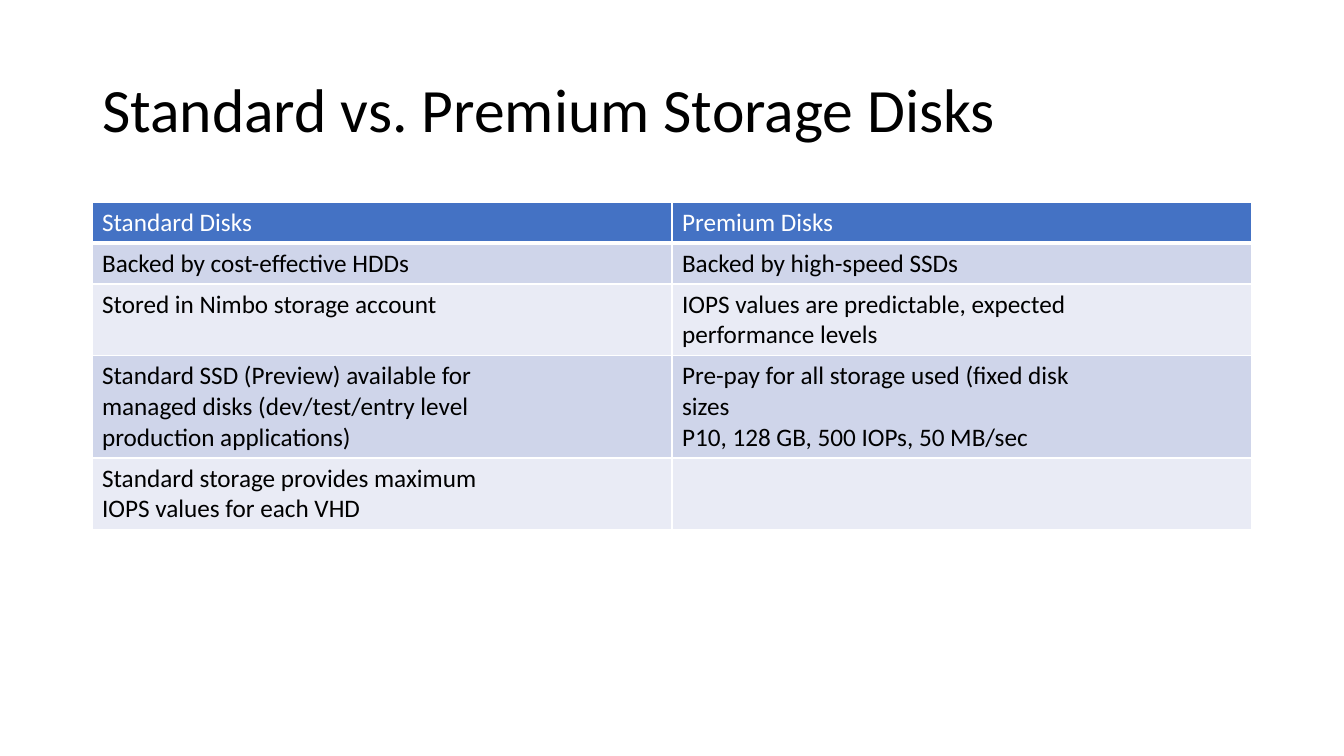
from dataclasses import dataclass

from lxml import etree
from pptx import Presentation
from pptx import util as u
from pptx.dml.color import RGBColor
from pptx.enum import text
from pptx.oxml.ns import qn


@dataclass(frozen=True)
class Theme:
    font: str = "Calibri"
    title_size: int = 44
    table_size: int = 18
    dark: str = "000000"
    light: str = "FFFFFF"
    header: str = "4472C4"
    bands: tuple = ("CFD5EA", "E9EBF5")
    rule: float = 1
    header_rule: float = 3


THEME = Theme()
PX_PER_INCH = 100.8

# Each cell is a tuple of lines, one paragraph per line
HEADINGS = (("Standard Disks",), ("Premium Disks",))
COMPARISON = (
    (("Backed by cost-effective HDDs",), ("Backed by high-speed SSDs",)),
    (("Stored in Nimbo storage account",),
     ("IOPS values are predictable, expected", "performance levels")),
    (("Standard SSD (Preview) available for",
      "managed disks (dev/test/entry level",
      "production applications)"),
     ("Pre-pay for all storage used (fixed disk",
      "sizes",
      "P10, 128 GB, 500 IOPs, 50 MB/sec")),
    (("Standard storage provides maximum", "IOPS values for each VHD"), ("",)),
)


def px(length):
    return u.Emu(round(length * u.Inches(1) / PX_PER_INCH))


def write(frame, lines, *, size, color, spacing=1.0):
    """Fill a text frame with one left-aligned paragraph per line."""
    for index, line in enumerate(lines):
        para = frame.paragraphs[0] if index == 0 else frame.add_paragraph()
        para.alignment = text.PP_ALIGN.LEFT
        para.line_spacing = spacing
        para.font.size = u.Pt(size)
        if line:
            span = para.add_run()
            span.text = line
            span.font.name = THEME.font
            span.font.size = u.Pt(size)
            span.font.color.rgb = RGBColor.from_string(color)


def set_borders(cell, bottom):
    """Draw the four cell edges; edges come before the fill in the XML."""
    props = cell._tc.get_or_add_tcPr()
    widths = {"lnL": THEME.rule, "lnR": THEME.rule, "lnT": THEME.rule, "lnB": bottom}
    for position, (edge, width) in enumerate(widths.items()):
        line = etree.Element(qn(f"a:{edge}"), w=str(u.Pt(width)))
        fill = etree.SubElement(line, qn("a:solidFill"))
        etree.SubElement(fill, qn("a:srgbClr"), val=THEME.light)
        props.insert(position, line)


def add_title(page, words, left, top, width, height):
    title = page.shapes.title
    title.left, title.top = px(left), px(top)
    title.width, title.height = px(width), px(height)
    frame = title.text_frame
    frame.word_wrap = True
    frame.auto_size = text.MSO_AUTO_SIZE.NONE
    frame.vertical_anchor = text.MSO_ANCHOR.MIDDLE
    write(frame, (words,), size=THEME.title_size, color=THEME.dark, spacing=0.9)


def add_comparison(page, headings, body, left, top, width):
    rows = (headings, *body)
    # Row height follows the tallest cell: padding plus its lines
    heights = [11 + 30 * max(map(len, row)) for row in rows]
    table = page.shapes.add_table(len(rows), len(headings), px(left), px(top),
                                  px(width), px(sum(heights))).table
    table.horz_banding = False
    table.first_row = True
    for column in table.columns:
        column.width = px(width / len(headings))
    for r, (row, height) in enumerate(zip(rows, heights)):
        is_header = r == 0
        table.rows[r].height = px(height)
        for c, lines in enumerate(row):
            cell = table.cell(r, c)
            cell.fill.solid()
            cell.fill.fore_color.rgb = RGBColor.from_string(
                THEME.header if is_header else THEME.bands[(r - 1) % 2])
            set_borders(cell, THEME.header_rule if is_header else THEME.rule)
            write(cell.text_frame, lines, size=THEME.table_size,
                  color=THEME.light if is_header else THEME.dark)
            if is_header:
                for para in cell.text_frame.paragraphs:
                    for span in para.runs:
                        span.font.bold = False


def main():
    deck = Presentation()
    deck.slide_width, deck.slide_height = px(1344), px(756)
    page = deck.slides.add_slide(deck.slide_layouts[5])

    # Heading
    add_title(page, "Standard vs. Premium Storage Disks", 92, 40, 1160, 146)

    # Two-column comparison
    add_comparison(page, HEADINGS, COMPARISON, 92, 202, 1160)

    deck.save("out.pptx")


if __name__ == "__main__":
    main()
